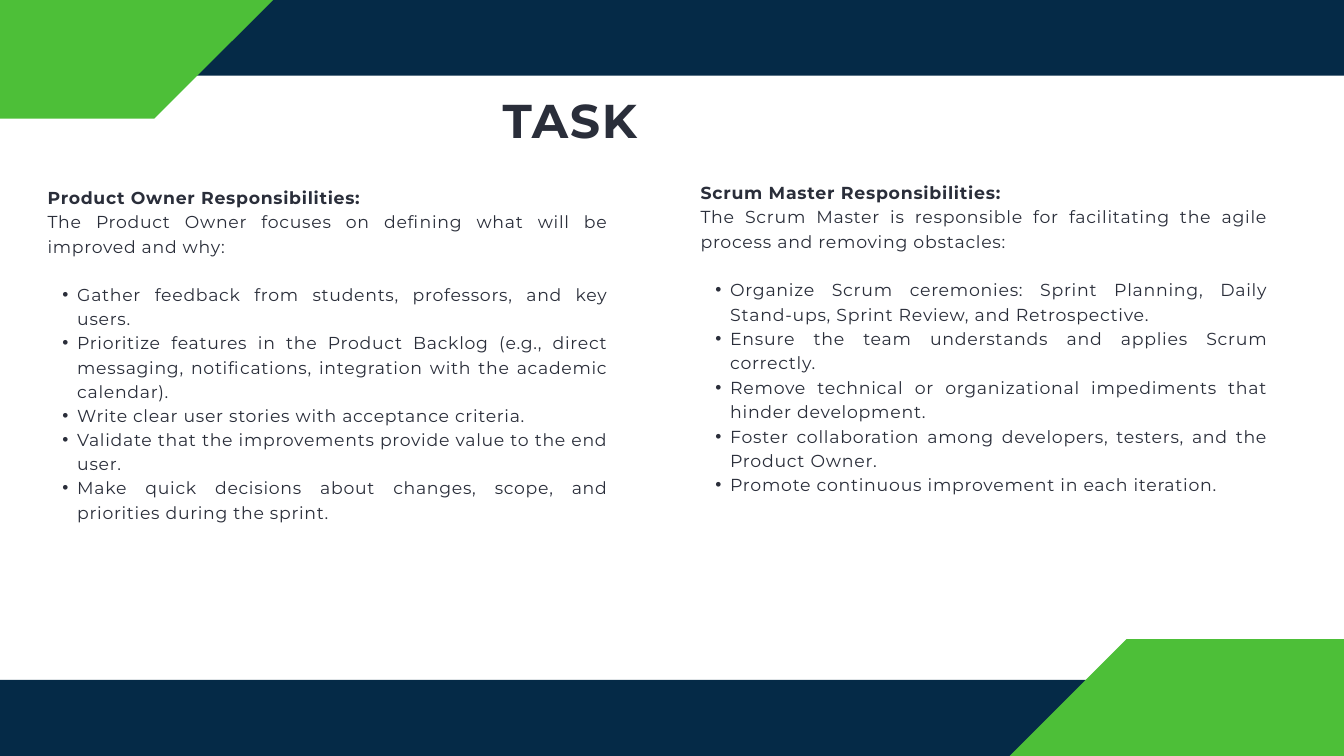
from lxml import etree
from pptx import Presentation
from pptx.dml.color import RGBColor
from pptx.enum.shapes import MSO_SHAPE
from pptx.enum.text import MSO_ANCHOR, MSO_AUTO_SIZE, PP_ALIGN
from pptx.oxml.ns import qn
from pptx.util import Cm, Pt

RECTANGLE, CHEVRON = MSO_SHAPE.RECTANGLE, MSO_SHAPE.CHEVRON
LEFT, JUSTIFY = PP_ALIGN.LEFT, PP_ALIGN.JUSTIFY
TOP, NO_AUTOFIT = MSO_ANCHOR.TOP, MSO_AUTO_SIZE.NONE

COLORS = {"navy": "052A47", "green": "4DBF38", "ink": "2A2E3A"}
FONT = "Montserrat"
TITLE = "TASK"

# Places are left, top, width, height in cm
TITLE_PLACE = (19, 3.43, 41.76, 2.11)
ROLES = [
    {
        "place": (1.8, 6.96, 21.18, 14.17), "size": 18.5, "line": 25.9,
        "heading": "Product Owner Responsibilities:",
        "summary": "The Product Owner focuses on defining what will be improved and why:",
        "duties": [
            "Gather feedback from students, professors, and key users.",
            "Prioritize features in the Product Backlog (e.g., direct messaging, "
            "notifications, integration with the academic calendar).",
            "Write clear user stories with acceptance criteria.",
            "Validate that the improvements provide value to the end user.",
            "Make quick decisions about changes, scope, and priorities during the sprint.",
        ],
    },
    {
        "place": (26.48, 6.75, 21.46, 14.38), "size": 18.6, "line": 26.1,
        "heading": "Scrum Master Responsibilities:",
        "summary": "The Scrum Master is responsible for facilitating the agile process "
                   "and removing obstacles:",
        "duties": [
            "Organize Scrum ceremonies: Sprint Planning, Daily Stand-ups, "
            "Sprint Review, and Retrospective.",
            "Ensure the team understands and applies Scrum correctly.",
            "Remove technical or organizational impediments that hinder development.",
            "Foster collaboration among developers, testers, and the Product Owner.",
            "Promote continuous improvement in each iteration.",
        ],
    },
]
# Bands and corners bleed over the slide edges
DECORATIONS = [
    (RECTANGLE, (-3.3, -5.72, 55.32, 8.58), "navy", 0),
    (RECTANGLE, (-1.45, 25.7, 55.32, 8.58), "navy", 0),
    (CHEVRON, (38.1, 24.16, 17.91, 8.96), "green", 180),
    (CHEVRON, (-7.59, -4.48, 17.91, 8.96), "green", 0),
]


def cm_place(place):
    return [Cm(length) for length in place]


def prepare_frame(frame):
    frame.margin_left = frame.margin_top = frame.margin_right = frame.margin_bottom = 0
    frame.word_wrap = True
    frame.auto_size = NO_AUTOFIT
    frame.vertical_anchor = TOP


def write(paragraph, text, size, line, spacing, bold=False, align=JUSTIFY):
    """Fill a paragraph; spacing is the letter spacing in points."""
    run = paragraph.add_run()
    run.text = text
    run.font._element.set("spc", str(round(spacing * 100)))
    paragraph.alignment = align
    paragraph.line_spacing = Pt(line)
    font = paragraph.font
    font.name, font.size, font.bold = FONT, Pt(size), bold
    font.color.rgb = RGBColor.from_string(COLORS["ink"])


def add_bullet(paragraph):
    properties = paragraph._p.get_or_add_pPr()
    properties.set("marL", str(Cm(1.12)))
    properties.set("indent", str(-Cm(0.56)))
    bullet_font = etree.Element(qn("a:buFont"), typeface="Arial")
    bullet = etree.Element(qn("a:buChar"), char="•")
    run_defaults = properties.find(qn("a:defRPr"))
    run_defaults.addprevious(bullet_font)
    run_defaults.addprevious(bullet)


def add_decoration(slide, preset, place, color, rotation):
    shape = slide.shapes.add_shape(preset, *cm_place(place))
    shape.rotation = rotation
    shape.shadow.inherit = False
    shape.fill.solid()
    shape.fill.fore_color.rgb = RGBColor.from_string(COLORS[color])
    shape.line.fill.background()


def add_role(slide, role):
    frame = slide.shapes.add_textbox(*cm_place(role["place"])).text_frame
    prepare_frame(frame)
    style = {"size": role["size"], "line": role["line"], "spacing": 0.8}
    write(frame.paragraphs[0], role["heading"], bold=True, **style)
    write(frame.add_paragraph(), role["summary"], **style)
    for index, duty in enumerate(role["duties"]):
        paragraph = frame.add_paragraph()
        write(paragraph, duty, **style)
        if index == 0:
            paragraph.space_before = Pt(role["line"])
        add_bullet(paragraph)


def main():
    presentation = Presentation()
    presentation.slide_width, presentation.slide_height = Cm(50.8), Cm(28.58)
    slide = presentation.slides.add_slide(presentation.slide_layouts[5])

    title = slide.shapes.title
    title.left, title.top, title.width, title.height = cm_place(TITLE_PLACE)
    prepare_frame(title.text_frame)
    write(title.text_frame.paragraphs[0], TITLE, 50.8, 60.9, 1.8, bold=True, align=LEFT)

    for decoration in DECORATIONS:
        add_decoration(slide, *decoration)
    for role in ROLES:
        add_role(slide, role)
    presentation.save("out.pptx")


if __name__ == "__main__":
    main()
